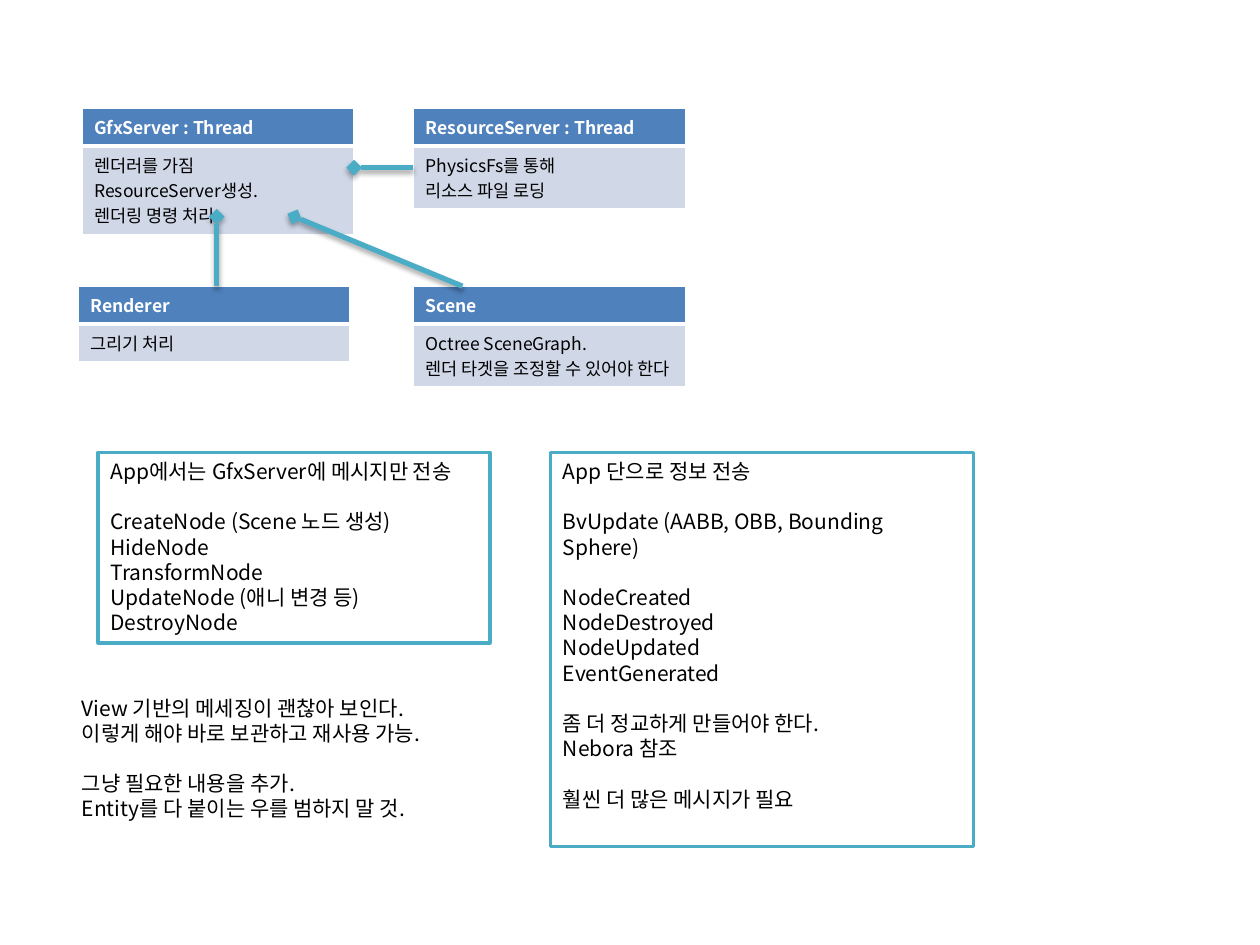
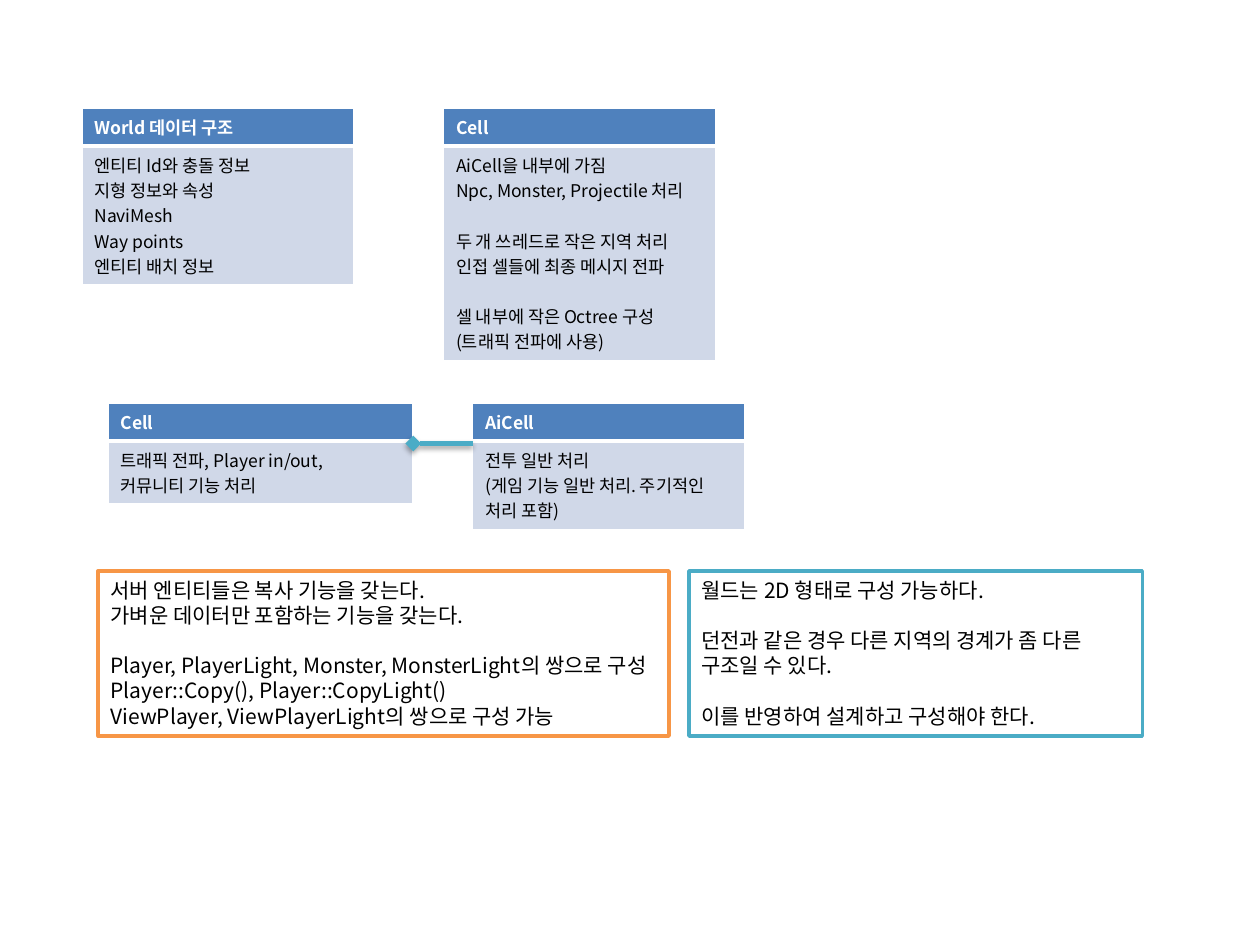
from lxml import etree
from pptx import Presentation
from pptx.dml.color import RGBColor
from pptx.enum.shapes import MSO_CONNECTOR, MSO_SHAPE
from pptx.enum.text import MSO_ANCHOR, PP_ALIGN
from pptx.oxml import parse_xml
from pptx.oxml.ns import nsdecls, qn
from pptx.util import Cm, Pt

RECTANGLE = MSO_SHAPE.RECTANGLE
STRAIGHT = MSO_CONNECTOR.STRAIGHT
TOP = MSO_ANCHOR.TOP
LEFT = PP_ALIGN.LEFT

FONT = "Noto Sans CJK KR"
LINE_HEIGHT = Pt(14.4)
HEADER_HEIGHT = 0.75
CARD_WIDTH = 5.49
COLORS = {
    "white": "FFFFFF",
    "black": "000000",
    "header": "4F81BD",
    "body": "D0D8E8",
    "teal": "4BACC6",
    "orange": "F79646",
}
SHADOW = (
    f'<a:effectLst {nsdecls("a")}><a:outerShdw blurRad="39370" dist="22860" dir="5400000" rotWithShape="0">'
    f'<a:srgbClr val="{COLORS["black"]}"><a:alpha val="35000"/></a:srgbClr></a:outerShdw></a:effectLst>'
)


def write_text(text_frame, blocks, size, color, bold=False, line_spacing=None):
    text_frame.text = "\n".join(blocks)
    paragraphs = iter(text_frame.paragraphs)
    for block_index, block in enumerate(blocks):
        for line_index in range(len(block.split("\n"))):
            paragraph = next(paragraphs)
            paragraph.alignment = LEFT
            paragraph.line_spacing = line_spacing
            if block_index and line_index == 0:
                paragraph.space_before = LINE_HEIGHT
            for run in paragraph.runs:
                run.font.size = Pt(size)
                run.font.bold = bold
                run.font.name = FONT
                run.font.color.rgb = RGBColor.from_string(COLORS[color])
                east_asian = etree.SubElement(run.font._element, qn("a:ea"))
                east_asian.set("typeface", FONT)


slides = [
    {
        "cards": [
            (1.65, 2.18, CARD_WIDTH, "GfxServer : Thread", ["렌더러를 가짐\nResourceServer생성.\n렌더링 명령 처리"]),
            (8.33, 2.18, CARD_WIDTH, "ResourceServer : Thread", ["PhysicsFs를 통해\n리소스 파일 로딩"]),
            (1.57, 5.77, CARD_WIDTH, "Renderer", ["그리기 처리"]),
            (8.33, 5.77, CARD_WIDTH, "Scene", ["Octree SceneGraph.\n렌더 타겟을 조정할 수 있어야 한다"]),
        ],
        "links": [
            (4.37, 4.37, 4.37, 5.77),
            (7.14, 3.38, 8.33, 3.38),
            (5.94, 4.37, 9.32, 5.77),
        ],
        "notes": [
            (1.98, 9.12, 7.9, 3.84, "teal", [
                "App에서는 GfxServer에 메시지만 전송",
                "CreateNode (Scene 노드 생성)\nHideNode\nTransformNode\nUpdateNode (애니 변경 등)\nDestroyNode",
            ]),
            (11.1, 9.12, 8.53, 7.95, "teal", [
                "App 단으로 정보 전송",
                "BvUpdate (AABB, OBB, Bounding\vSphere)",
                "NodeCreated\nNodeDestroyed\nNodeUpdated\nEventGenerated",
                "좀 더 정교하게 만들어야 한다.\nNebora 참조",
                "훨씬 더 많은 메시지가 필요",
            ]),
            (1.4, 13.89, 7.75, 3.33, None, [
                "View 기반의 메세징이 괜찮아 보인다. 이렇게 해야 바로 보관하고 재사용 가능.",
                "그냥 필요한 내용을 추가.\nEntity를 다 붙이는 우를 범하지 말 것.",
            ]),
        ],
    },
    {
        "cards": [
            (1.65, 2.18, CARD_WIDTH, "World 데이터 구조",
             ["엔티티 Id와 충돌 정보\n지형 정보와 속성\nNaviMesh\nWay points\n엔티티 배치 정보"]),
            (8.94, 2.18, CARD_WIDTH, "Cell", [
                "AiCell을 내부에 가짐\nNpc, Monster, Projectile 처리",
                "두 개 쓰레드로 작은 지역 처리\n인접 셀들에 최종 메시지 전파",
                "셀 내부에 작은 Octree 구성\n(트래픽 전파에 사용)",
            ]),
            (2.18, 8.13, 6.15, "Cell", ["트래픽 전파, Player in/out,\v커뮤니티 기능 처리"]),
            (9.53, 8.13, CARD_WIDTH, "AiCell", ["전투 일반 처리\n(게임 기능 일반 처리. 주기적인 처리 포함)"]),
        ],
        "links": [(8.33, 8.94, 9.53, 8.94)],
        "notes": [
            (1.98, 11.51, 11.51, 3.33, "orange", [
                "서버 엔티티들은 복사 기능을 갖는다.\n가벼운 데이터만 포함하는 기능을 갖는다.",
                "Player, PlayerLight, Monster, MonsterLight의 쌍으로 구성\n"
                "Player::Copy(), Player::CopyLight()\nViewPlayer, ViewPlayerLight의 쌍으로 구성 가능",
            ]),
            (13.89, 11.51, 9.14, 3.33, "teal", [
                "월드는 2D 형태로 구성 가능하다.",
                "던전과 같은 경우 다른 지역의 경계가 좀 다른 구조일 수 있다.",
                "이를 반영하여 설계하고 구성해야 한다.",
            ]),
        ],
    },
]

presentation = Presentation()
presentation.slide_width = Cm(25.4)
presentation.slide_height = Cm(19.05)

for content in slides:
    slide = presentation.slides.add_slide(presentation.slide_layouts[6])

    for left, top, width, title, blocks in content["cards"]:
        line_count = len("\n\n".join(blocks).replace("\v", "\n").split("\n"))
        body_height = 0.25 + 0.51 * line_count
        frame = slide.shapes.add_table(2, 1, Cm(left), Cm(top), Cm(width), Cm(HEADER_HEIGHT + body_height))
        table = frame.table
        table.rows[0].height = Cm(HEADER_HEIGHT)
        table.rows[1].height = Cm(body_height)
        rows = [([title], "header", "white", True), (blocks, "body", "black", False)]
        for row, (texts, fill, color, bold) in enumerate(rows):
            cell = table.cell(row, 0)
            properties = cell._tc.get_or_add_tcPr()
            for side in ("lnL", "lnR", "lnT", "lnB"):
                thick = (row, side) in ((0, "lnB"), (1, "lnT"))
                border = etree.SubElement(properties, qn(f"a:{side}"), w=str(Pt(3 if thick else 1)))
                border_fill = etree.SubElement(border, qn("a:solidFill"))
                etree.SubElement(border_fill, qn("a:srgbClr"), val=COLORS["white"])
            cell.fill.solid()
            cell.fill.fore_color.rgb = RGBColor.from_string(COLORS[fill])
            write_text(cell.text_frame, texts, 10, color, bold)

    for start_x, start_y, end_x, end_y in content["links"]:
        connector = slide.shapes.add_connector(STRAIGHT, Cm(start_x), Cm(start_y), Cm(end_x), Cm(end_y))
        connector.line.color.rgb = RGBColor.from_string(COLORS["teal"])
        connector.line.width = Pt(3)
        shape_properties = connector._element.spPr
        etree.SubElement(shape_properties.find(qn("a:ln")), qn("a:headEnd"), type="diamond")
        shape_properties.append(parse_xml(SHADOW))

    for left, top, width, height, outline, blocks in content["notes"]:
        position = Cm(left), Cm(top), Cm(width), Cm(height)
        if outline:
            shape = slide.shapes.add_shape(RECTANGLE, *position)
            shape.shadow.inherit = False
            shape.fill.solid()
            shape.fill.fore_color.rgb = RGBColor.from_string(COLORS["white"])
            shape.line.color.rgb = RGBColor.from_string(COLORS[outline])
            shape.line.width = Pt(2)
        else:
            shape = slide.shapes.add_textbox(*position)
        text_frame = shape.text_frame
        text_frame.word_wrap = True
        text_frame.vertical_anchor = TOP
        text_frame.margin_right = 0
        write_text(text_frame, blocks, 12, "black", line_spacing=LINE_HEIGHT)

presentation.save("out.pptx")
